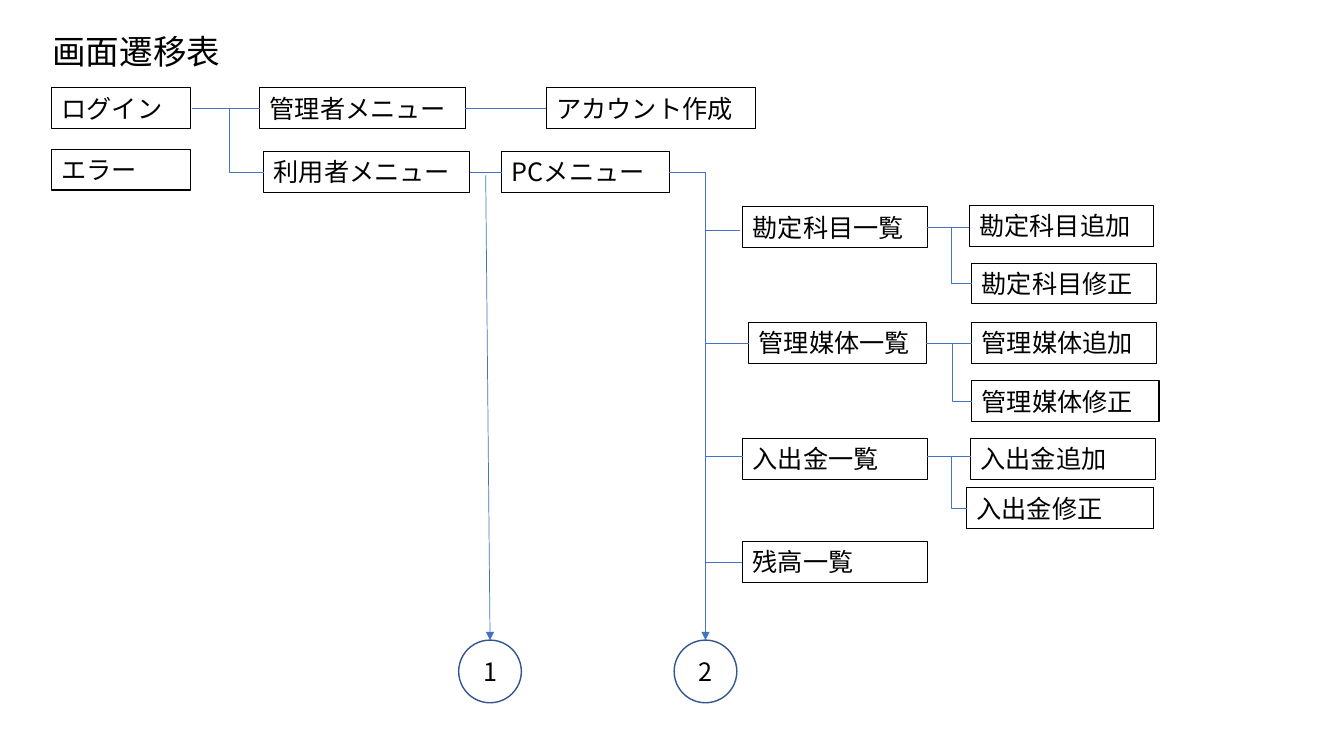
from lxml import etree
from pptx import Presentation
from pptx.dml.color import RGBColor
from pptx.enum.shapes import MSO_CONNECTOR, MSO_SHAPE
from pptx.enum.text import MSO_ANCHOR, PP_ALIGN
from pptx.oxml.ns import qn
from pptx.util import Cm, Pt

STRAIGHT = MSO_CONNECTOR.STRAIGHT
ELBOW = MSO_CONNECTOR.ELBOW
RECTANGLE = MSO_SHAPE.RECTANGLE
CIRCLE = MSO_SHAPE.FLOWCHART_CONNECTOR
TOP, MIDDLE = MSO_ANCHOR.TOP, MSO_ANCHOR.MIDDLE
LEFT, CENTER = PP_ALIGN.LEFT, PP_ALIGN.CENTER

COLORS = {"text": "000000", "border": "000000", "link": "4472C4", "circle": "325491"}
FONT = "Noto Sans CJK JP"
BOX_HEIGHT = 1.03
CIRCLE_SIZE = 1.58


def color(name):
    return RGBColor.from_string(COLORS[name])


def write(shape, text, size, align, anchor):
    frame = shape.text_frame
    for name, value in {"word_wrap": True, "vertical_anchor": anchor,
                        "margin_left": Cm(0.25), "margin_right": Cm(0.25),
                        "margin_top": Cm(0.13), "margin_bottom": Cm(0.13)}.items():
        setattr(frame, name, value)
    para = frame.paragraphs[0]
    para.alignment = align
    span = para.add_run()
    span.text = text
    span.font.color.rgb = color("text")
    for name, value in {"name": FONT, "size": Pt(size)}.items():
        setattr(span.font, name, value)
    etree.SubElement(span.font._element, qn("a:ea"), typeface=FONT)


def add_outline(page, kind, left, top, width, height, line_color, line_width):
    shape = page.shapes.add_shape(kind, Cm(left), Cm(top), Cm(width), Cm(height))
    shape.shadow.inherit = False
    shape.fill.background()
    shape.line.color.rgb = color(line_color)
    shape.line.width = Pt(line_width)
    return shape


def add_screen(page, text, left, top, width):
    shape = add_outline(page, RECTANGLE, left, top, width, BOX_HEIGHT, "border", 0.75)
    write(shape, text, 18, LEFT, TOP)


def add_link(page, x1, y1, x2, y2, kind=STRAIGHT, arrow=False):
    link = page.shapes.add_connector(kind, Cm(x1), Cm(y1), Cm(x2), Cm(y2))
    link.line.color.rgb = color("link")
    link.line.width = Pt(0.5)
    if arrow:
        etree.SubElement(link.line._get_or_add_ln(), qn("a:tailEnd"), type="triangle")
    etree.SubElement(link._element.spPr, qn("a:effectLst"))
    return link


def add_corner(page, x1, y1, x2, y2):
    """Run down, then right: a flipped bend turned by 270 degrees."""
    middle_x, middle_y = (x1 + x2) / 2, (y1 + y2) / 2
    half_run, half_drop = (x2 - x1) / 2, (y2 - y1) / 2
    link = add_link(page, middle_x + half_drop, middle_y - half_run,
                    middle_x - half_drop, middle_y + half_run, ELBOW)
    properties = link._element.spPr
    properties.find(qn("a:xfrm")).set("rot", "16200000")
    properties.find(qn("a:prstGeom")).set("prst", "bentConnector2")


def draw_title(page, left, top, width, height):
    title = page.shapes.title
    for name, value in {"left": left, "top": top, "width": width, "height": height}.items():
        setattr(title, name, Cm(value))
    write(title, "画面遷移表", 24, LEFT, MIDDLE)


def draw_menus(page, left, top):
    """Login, error and the menus that follow."""
    for text, x, y, width in [
        ("ログイン", 0, 0, 3.51), ("エラー", 0, 1.55, 3.51),
        ("管理者メニュー", 5.25, 0, 5.18), ("アカウント作成", 12.47, 0, 5.28),
        ("利用者メニュー", 5.35, 1.61, 5.18), ("PCメニュー", 11.35, 1.61, 4.22),
    ]:
        add_screen(page, text, left + x, top + y, width)
    for x1, x2, y in [(3.53, 5.25, 0.52), (10.43, 12.47, 0.52),
                      (10.54, 11.35, 2.13), (15.57, 16.48, 2.13)]:
        add_link(page, left + x1, top + y, left + x2, top + y)
    add_corner(page, left + 4.47, top + 0.52, left + 5.35, top + 2.13)


def draw_listing(page, trunk, top, listing, branch, children=(), fork=None):
    """A list screen on the trunk, with the screens opened from it."""
    text, x, width = listing
    branch_y, branch_end = branch
    add_screen(page, text, trunk + x, top, width)
    add_link(page, trunk, top + branch_y, trunk + branch_end, top + branch_y)
    for child, child_x, child_y, child_width in children:
        add_screen(page, child, trunk + child_x, top + child_y, child_width)
    if fork:
        fork_x, fork_y = fork
        (_, add_x, _, _), (_, edit_x, edit_y, _) = children
        add_link(page, trunk + x + width, top + fork_y, trunk + add_x, top + fork_y)
        add_corner(page, trunk + fork_x, top + fork_y,
                   trunk + edit_x, top + edit_y + BOX_HEIGHT / 2)


def draw_exit(page, number, left, top, start_x, start_y):
    """A numbered circle and the arrow that leads down to it."""
    circle = add_outline(page, CIRCLE, left, top, CIRCLE_SIZE, CIRCLE_SIZE, "circle", 1)
    write(circle, number, 18, CENTER, MIDDLE)
    add_link(page, start_x, start_y, left + CIRCLE_SIZE / 2, top, arrow=True)


deck = Presentation()
deck.slide_width, deck.slide_height = Cm(33.87), Cm(19.05)
page = deck.slides.add_slide(deck.slide_layouts[5])

draw_title(page, 1.07, 0.64, 12.7, 1.27)
draw_menus(page, 1.3, 2.21)

# List screens along the trunk
TRUNK = 17.78
draw_listing(page, TRUNK, 5.21, ("勘定科目一覧", 0.94, 4.65), (0.59, 0.86),
             [("勘定科目追加", 6.65, -0.03, 4.65), ("勘定科目修正", 6.71, 1.42, 4.65)],
             (6.2, 0.52))
draw_listing(page, TRUNK, 8.13, ("管理媒体一覧", 1.09, 4.47), (0.52, 1.09),
             [("管理媒体追加", 6.71, 0, 4.65), ("管理媒体修正", 6.71, 1.47, 4.72)],
             (6.22, 0.52))
draw_listing(page, TRUNK, 11.05, ("入出金一覧", 0.94, 4.65), (0.46, 0.94),
             [("入出金追加", 6.68, 0, 4.65), ("入出金修正", 6.58, 1.24, 4.72)],
             (6.2, 0.46))
draw_listing(page, TRUNK, 13.64, ("残高一覧", 0.94, 4.65), (0.52, 0.92))

# Exits to the numbered continuations
draw_exit(page, "1", 11.56, 16.13, 12.24, 4.42)
draw_exit(page, "2", 16.99, 16.13, TRUNK, 4.34)

deck.save("out.pptx")
